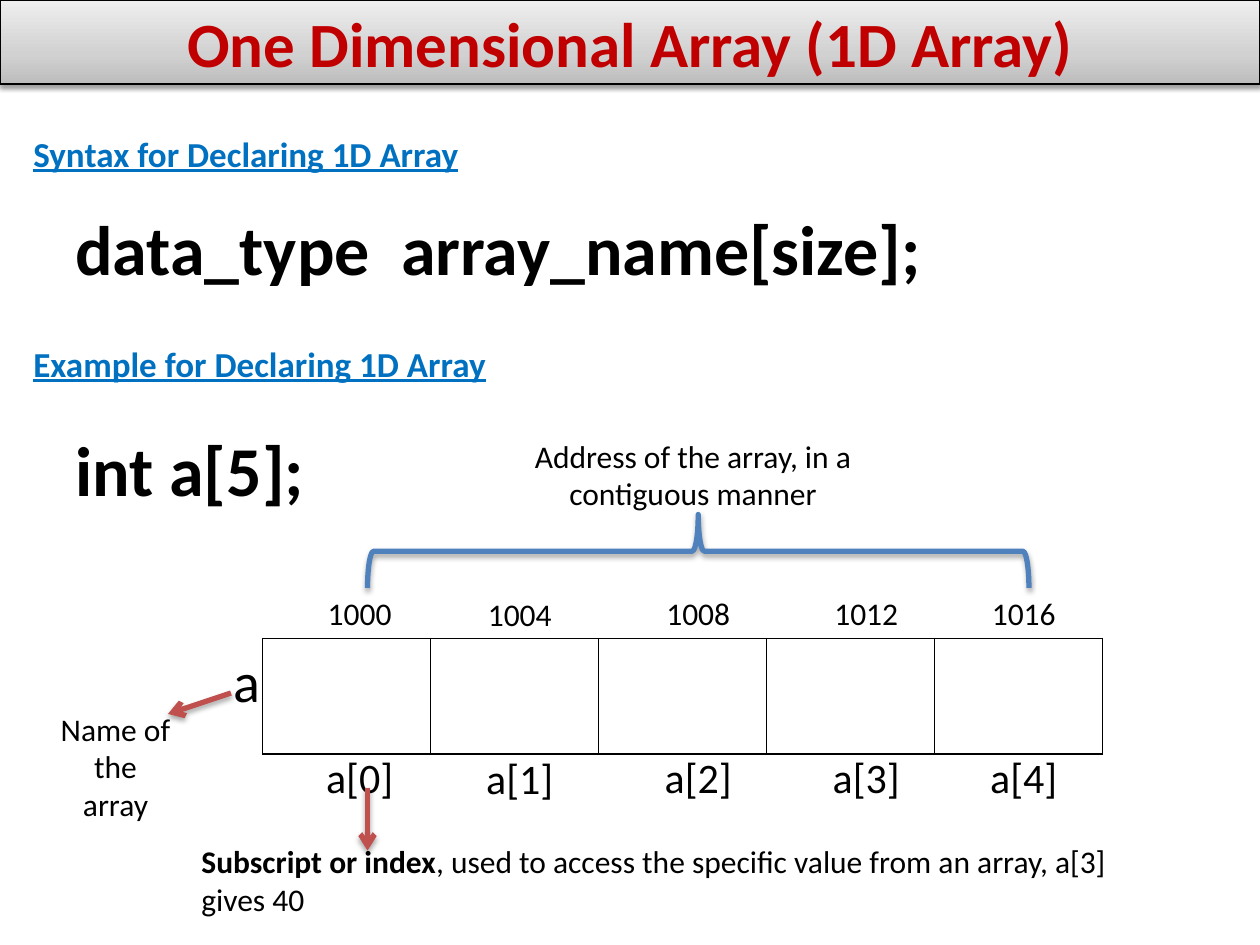
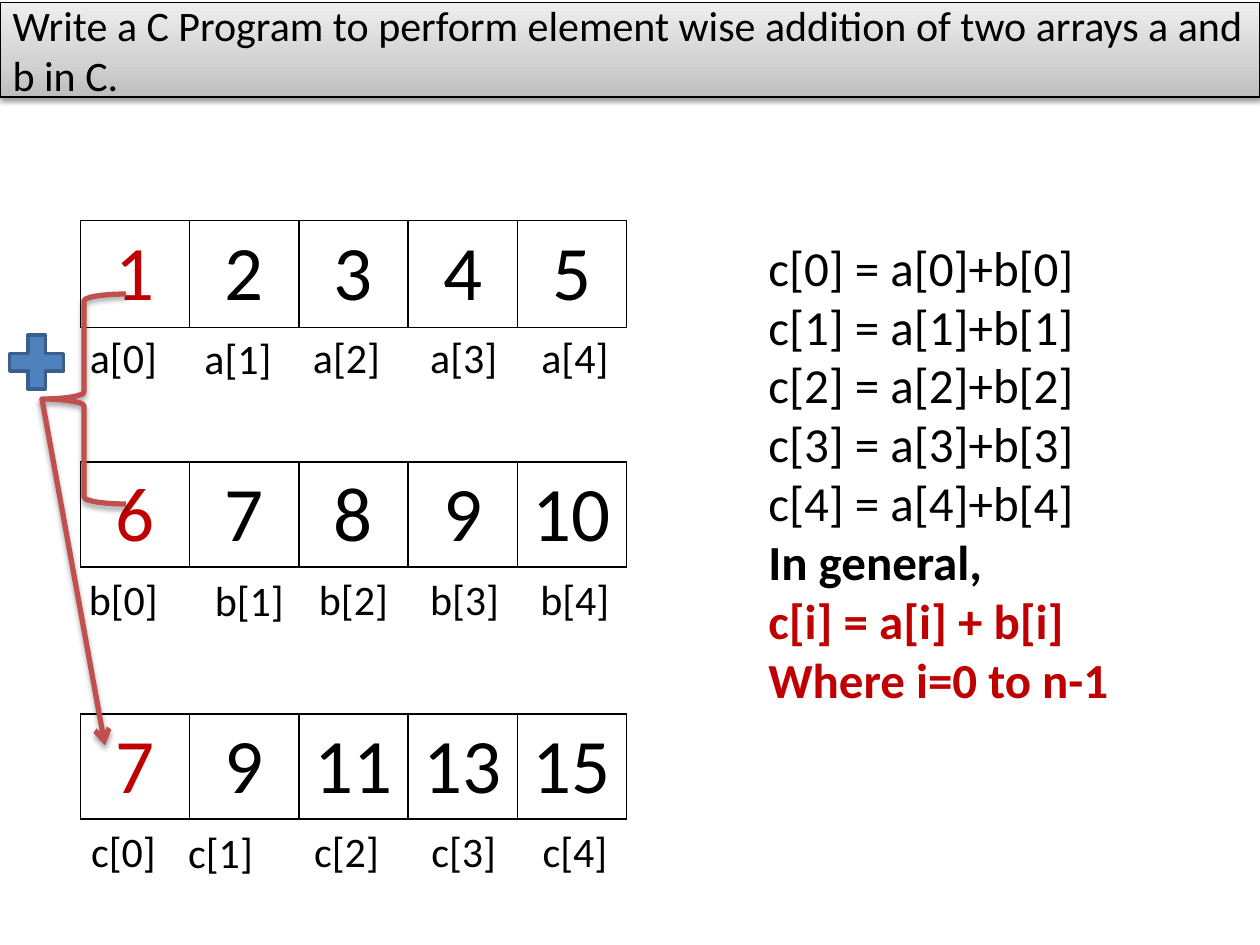
from lxml.etree import SubElement
from pptx import Presentation
from pptx.dml.color import RGBColor
from pptx.enum.shapes import MSO_CONNECTOR, MSO_SHAPE
from pptx.enum.text import MSO_ANCHOR, MSO_AUTO_SIZE, PP_ALIGN
from pptx.oxml import parse_xml
from pptx.oxml.ns import nsdecls, qn
from pptx.util import Pt

BLACK, WHITE, RED, LINK = "000000", "FFFFFF", "C00000", "0070C0"
BLUE, BLUE_EDGE, BRICK = "4F81BD", "3A5F8C", "C0504D"
BAND_STOPS = [(0, "BDBDBD"), (35, "D1D1D1"), (100, "EEEEEE")]
LEFT, CENTER = PP_ALIGN.LEFT, PP_ALIGN.CENTER


def rgb(color):
    return RGBColor.from_string(color)


def write(p, text, size=18, color=BLACK, bold=False, underline=False, align=LEFT):
    p.alignment = align
    r = p.add_run()
    r.text = text
    f = r.font
    f.name, f.size, f.bold, f.underline = "Calibri", Pt(size), bold, underline
    f.color.rgb = rgb(color)


def add_shadow(sp, alpha, dist):
    """Call after the line is set, so the effect list comes last."""
    sp._element.spPr.append(parse_xml(
        f'<a:effectLst {nsdecls("a")}><a:outerShdw blurRad="{Pt(3.1)}" '
        f'dist="{Pt(dist)}" dir="5400000" rotWithShape="0"><a:srgbClr val="{BLACK}">'
        f'<a:alpha val="{alpha * 1000}"/></a:srgbClr></a:outerShdw></a:effectLst>'))


class Deck:
    def __init__(self):
        self.prs = Presentation()
        self.prs.slide_width, self.prs.slide_height = Pt(720), Pt(540)
        self.s = None

    def slide(self, title, top, height, **fmt):
        """Start a slide with its title in a gradient band."""
        self.s = self.prs.slides.add_slide(self.prs.slide_layouts[5])
        sp = self.s.shapes.title
        sp.left, sp.top, sp.width, sp.height = Pt(0), Pt(top), Pt(720), Pt(height)
        sp.fill.gradient()
        grad = sp._element.spPr.find(qn("a:gradFill"))
        stops = "".join(f'<a:gs pos="{pos * 1000}"><a:srgbClr val="{color}"/></a:gs>'
                        for pos, color in BAND_STOPS)
        grad.replace(grad.find(qn("a:gsLst")),
                     parse_xml(f'<a:gsLst {nsdecls("a")}>{stops}</a:gsLst>'))
        grad.find(qn("a:lin")).set("ang", "16200000")
        self.outline(sp, BLACK, 0.75)
        add_shadow(sp, 38, 1.6)
        tf = sp.text_frame
        tf.word_wrap, tf.auto_size = True, MSO_AUTO_SIZE.NONE
        tf.vertical_anchor = MSO_ANCHOR.MIDDLE
        write(tf.paragraphs[0], title, **fmt)

    def outline(self, sp, color, width):
        sp.line.color.rgb = rgb(color)
        sp.line.width = Pt(width)

    def text(self, box, *lines, **fmt):
        tf = self.s.shapes.add_textbox(*map(Pt, box)).text_frame
        tf.word_wrap, tf.auto_size = True, MSO_AUTO_SIZE.SHAPE_TO_FIT_TEXT
        for i, line in enumerate(lines):
            write(tf.add_paragraph() if i else tf.paragraphs[0], line, **fmt)
        return tf

    def labels(self, texts, lefts, top, width, height, size=24):
        """Centred labels for array cells; the second sits slightly lower."""
        for i, (text, left) in enumerate(zip(texts, lefts)):
            self.text((left, top + 0.72 * (i == 1), width, height), text,
                      size=size, align=CENTER)

    def array(self, left, top, width, height, values):
        """One-row table; the first value is highlighted."""
        shape = self.s.shapes.add_table(1, len(values), Pt(left), Pt(top),
                                        Pt(width), Pt(height))
        for i, value in enumerate(values):
            shape.table.columns[i].width = Pt(width / len(values))
            cell = shape.table.cell(0, i)
            tcPr = cell._tc.get_or_add_tcPr()
            for side in ("lnL", "lnR", "lnT", "lnB"):
                ln = SubElement(tcPr, qn(f"a:{side}"), w=str(Pt(1)))
                SubElement(SubElement(ln, qn("a:solidFill")), qn("a:srgbClr"), val=BLACK)
            cell.fill.solid()
            cell.fill.fore_color.rgb = rgb(WHITE)
            if value != "":
                write(cell.text_frame.paragraphs[0], str(value), size=44,
                      color=BLACK if i else RED, align=CENTER)

    def brace(self, kind, box, color, rotation=0):
        sp = self.s.shapes.add_shape(kind, *map(Pt, box))
        sp.rotation = rotation
        sp.fill.background()
        self.outline(sp, color, 3)
        add_shadow(sp, 35, 1.8)

    def arrow(self, *ends):
        cx = self.s.shapes.add_connector(MSO_CONNECTOR.STRAIGHT, *map(Pt, ends))
        self.outline(cx, BRICK, 3)
        SubElement(cx.line._get_or_add_ln(), qn("a:tailEnd"), type="arrow")
        add_shadow(cx, 35, 1.8)

    def plus(self, box):
        sp = self.s.shapes.add_shape(MSO_SHAPE.MATH_PLUS, *map(Pt, box))
        sp.shadow.inherit = False
        sp.fill.solid()
        sp.fill.fore_color.rgb = rgb(BLUE)
        self.outline(sp, BLUE_EDGE, 2)


def declaration_slide(d):
    d.slide("One Dimensional Array (1D Array)", 0, 48, size=36, color=RED,
            bold=True, align=CENTER)

    # Headings and declarations
    for top, word in ((72, "Syntax"), (192, "Example")):
        d.text((12, top, 318, 31.5), f"{word} for Declaring 1D Array", size=20,
               color=LINK, bold=True, underline=True)
    d.text((36, 240, 192, 55.5), "int a[5];", size=40, bold=True)
    d.text((36, 114, 588, 55.5), "data_type  array_name[size];", size=40, bold=True)

    # Array with addresses above and indexes below
    d.array(150, 365, 480, 66, [""] * 5)
    lefts = (160.5, 252, 354, 450, 540)
    d.labels([str(1000 + 4 * i) for i in range(5)], lefts, 336, 90, 29, size=18)
    d.labels([f"a[{i}]" for i in range(5)], lefts, 426, 90, 36)
    d.text((114, 366, 54, 46), "a", size=32, align=CENTER)

    # Explanations
    d.arrow(210, 450, 210, 486)
    tf = d.text((108, 477.5, 552, 51), "Subscript or index", bold=True)
    write(tf.paragraphs[0],
          ", used to access the specific value from an array, a[3] gives 40")
    d.arrow(132, 396, 96, 408)
    d.text((18, 402, 96, 72.5), "Name of the", "array", align=CENTER)
    d.brace(MSO_SHAPE.RIGHT_BRACE, (378, 126, 42, 378), BLUE, rotation=270)
    d.text((294, 246, 204, 51), "Address of the array, in a contiguous manner",
           align=CENTER)


def addition_slide(d):
    d.slide("Write a C Program to perform element wise addition of two arrays "
            "a and b in C.", 1.5, 54, size=24)

    # The two arrays and their sum
    a, b = range(1, 6), range(6, 11)
    c = (7, 9, 11, 13, 15)
    rows = (("a", a, 126, (39, 104.5, 166.5, 233.5, 297)),
            ("b", b, 264, (39, 111, 170.5, 234, 297)),
            ("c", c, 408, (39, 94.5, 166.5, 233.5, 297)))
    for name, values, top, lefts in rows:
        d.array(46, top, 312, 60, values)
        d.labels([f"{name}[{i}]" for i in range(5)], lefts, top + 60, 63, 36)

    # Formulas
    tf = d.text((432, 132, 270, 312.5),
                *[f"c[{i}] = a[{i}]+b[{i}]" for i in range(5)], size=28)
    for line, color in (("In general,", BLACK), ("c[i] = a[i] + b[i]", RED),
                        ("Where i=0 to n-1", RED)):
        write(tf.add_paragraph(), line, size=28, color=color, bold=True)

    # Addition of the first elements
    d.brace(MSO_SHAPE.LEFT_BRACE, (24, 168, 48, 120), BRICK)
    d.arrow(24, 228, 60, 426)
    d.plus((0, 186, 42, 42))


def main():
    d = Deck()
    declaration_slide(d)
    addition_slide(d)
    d.prs.save("out.pptx")


if __name__ == "__main__":
    main()
